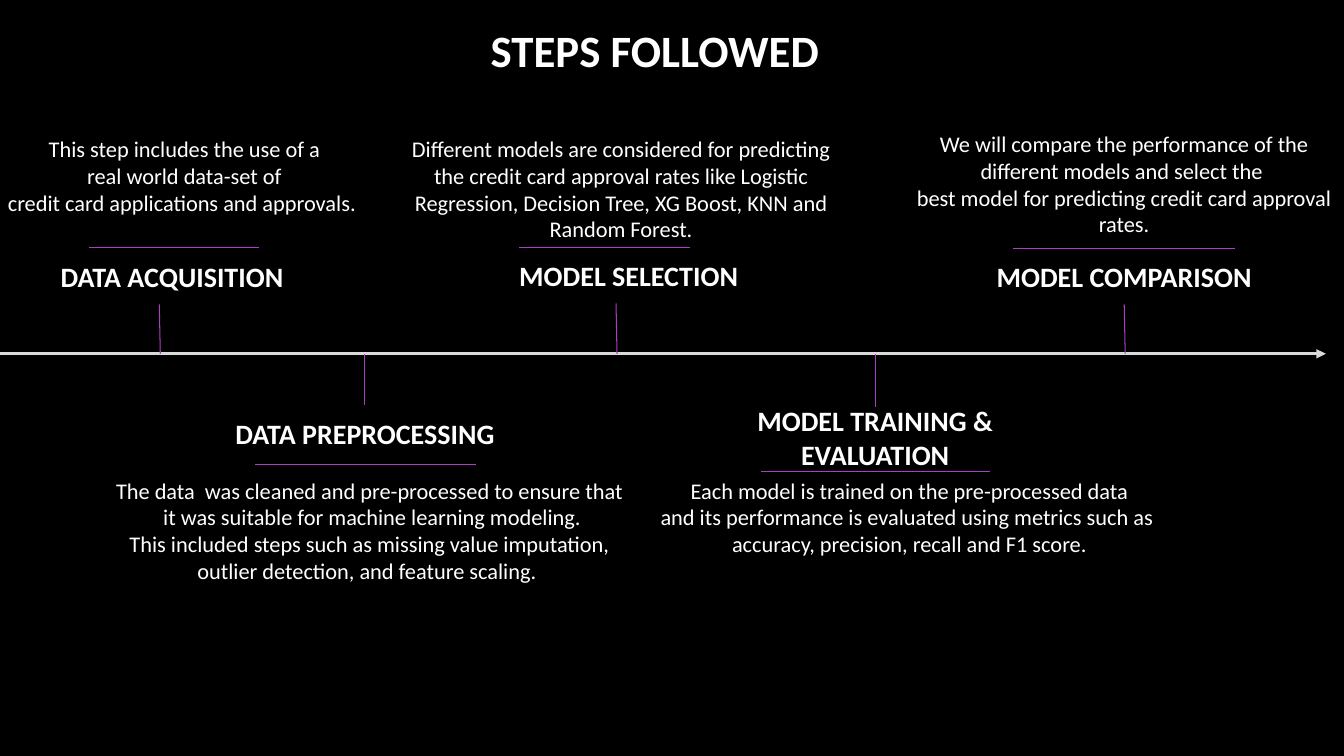
from pptx import Presentation
from pptx.dml.color import RGBColor
from pptx.enum.shapes import MSO_CONNECTOR
from pptx.enum.text import MSO_ANCHOR, MSO_AUTO_SIZE, PP_ALIGN
from pptx.oxml.ns import qn
from pptx.util import Inches, Pt
from lxml.etree import SubElement

BLACK = RGBColor(0x00, 0x00, 0x00)
WHITE = RGBColor(0xFF, 0xFF, 0xFF)
GREY = RGBColor(0xD9, 0xD9, 0xD9)
PURPLE = RGBColor(0xAC, 0x3E, 0xC1)
FONT = "Calibri"
AXIS = 3.51

TITLE = ("STEPS FOLLOWED", (4.72, 0.16, 3.55, 0.66))
STEPS = [
    {"head": "DATA ACQUISITION", "box": (0.19, 2.46, 2.78, 0.56),
     "rule": (0.88, 2.57, 2.46), "inset": 0.35,
     "body": ["This step includes the use of a",
              " real world data-set of ",
              "credit card applications and approvals. "],
     "area": (-0.04, 1.29, 3.74, 0.91), "wrap": False},
    {"head": "DATA PREPROCESSING", "box": (2.23, 4.02, 2.78, 0.56),
     "rule": (2.53, 4.72, 4.61), "inset": 0.1,
     "body": ["The data  was cleaned and pre-processed to ensure that",
              " it was suitable for machine learning modeling.",
              " This included steps such as missing value imputation, ",
              "outlier detection, and feature scaling. "],
     "area": (1.02, 4.68, 5.29, 1.18), "wrap": False},
    {"head": "MODEL SELECTION", "box": (4.72, 2.45, 2.78, 0.56),
     "rule": (5.15, 6.84, 2.46), "inset": 0.35,
     "body": ["Different models are considered for predicting the credit card "
              "approval rates like Logistic Regression, Decision Tree, "
              "XG Boost, KNN and Random Forest."],
     "area": (3.97, 1.29, 4.38, 1.18), "wrap": True},
    {"head": "MODEL TRAINING & EVALUATION", "box": (7.24, 4.04, 2.88, 0.59),
     "rule": (7.55, 9.82, 4.68), "inset": 0.1,
     "body": ["Each model is trained on the pre-processed data",
              "and its performance is evaluated using metrics such as ",
              "accuracy, precision, recall and F1 score."],
     "area": (6.41, 4.68, 5.22, 0.91), "wrap": False},
    {"head": "MODEL COMPARISON", "box": (9.76, 2.46, 2.78, 0.56),
     "rule": (10.05, 12.25, 2.47), "inset": 0.1,
     "body": ["We will compare the performance of the different models "
              "and select the ",
              "best model for predicting credit card approval rates."],
     "area": (8.88, 1.24, 4.54, 1.18), "wrap": True},
]


def add_text(slide, lines, box, size=16, bold=False, wrap=True,
             anchor=MSO_ANCHOR.TOP, fit=MSO_AUTO_SIZE.NONE, inset=0.1):
    shape = slide.shapes.add_textbox(*map(Inches, box))
    frame = shape.text_frame
    frame.word_wrap = wrap
    frame.auto_size = fit
    frame.vertical_anchor = anchor
    frame.margin_left = Inches(inset)
    for i, line in enumerate(lines):
        para = frame.add_paragraph() if i else frame.paragraphs[0]
        para.alignment = PP_ALIGN.CENTER
        run = para.add_run()
        run.text = line
        run.font.name = FONT
        run.font.size = Pt(size)
        run.font.bold = bold
        run.font.color.rgb = WHITE
    return shape


def add_line(slide, start, end, color=PURPLE, width=0.75):
    line = slide.shapes.add_connector(
        MSO_CONNECTOR.STRAIGHT, *map(Inches, start + end))
    line.line.color.rgb = color
    line.line.width = Pt(width)
    SubElement(line._element.spPr, qn("a:effectLst"))
    return line


def add_step(slide, step):
    left, top, wide, high = step["box"]
    head = add_text(slide, [step["head"]], step["box"], size=20, bold=True,
                    anchor=MSO_ANCHOR.MIDDLE, inset=step["inset"])
    mid = left + wide / 2
    if top < AXIS:
        tick = add_line(slide, (mid, top + high), (mid + 0.01, AXIS))
        tick.begin_connect(head, 2)
    else:
        tick = add_line(slide, (mid, AXIS), (mid, top))
        tick.end_connect(head, 0)
    x1, x2, y = step["rule"]
    add_line(slide, (x1, y), (x2, y))
    add_text(slide, step["body"], step["area"], wrap=step["wrap"],
             fit=MSO_AUTO_SIZE.SHAPE_TO_FIT_TEXT)


def main():
    deck = Presentation()
    deck.slide_width = Inches(13.33)
    deck.slide_height = Inches(7.5)
    slide = deck.slides.add_slide(deck.slide_layouts[6])
    fill = slide.background.fill
    fill.solid()
    fill.fore_color.rgb = BLACK

    name, box = TITLE
    add_text(slide, [name], box, size=32, bold=True, anchor=MSO_ANCHOR.MIDDLE)
    arrow = add_line(slide, (0, AXIS), (13.15, AXIS), color=GREY, width=2.25)
    SubElement(arrow.line._get_or_add_ln(), qn("a:tailEnd"), type="triangle")
    for step in STEPS:
        add_step(slide, step)
    deck.save("out.pptx")


if __name__ == "__main__":
    main()
